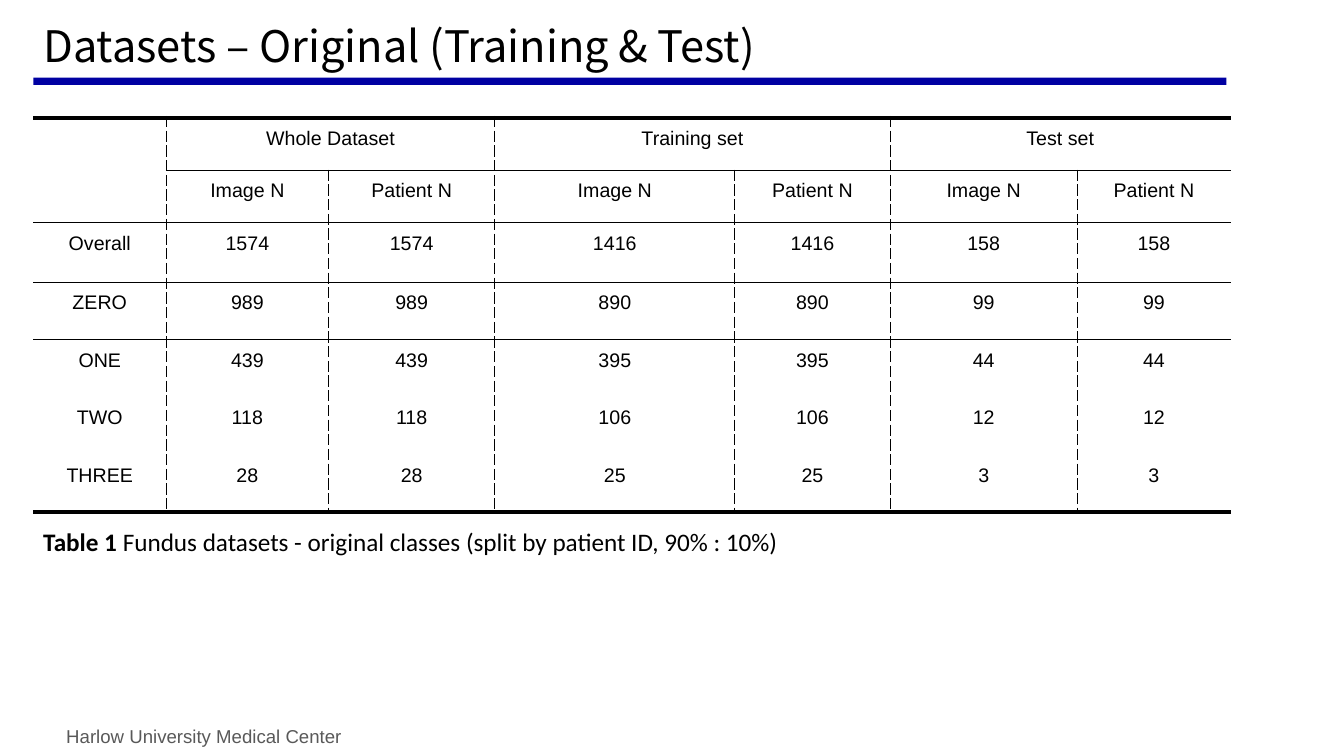
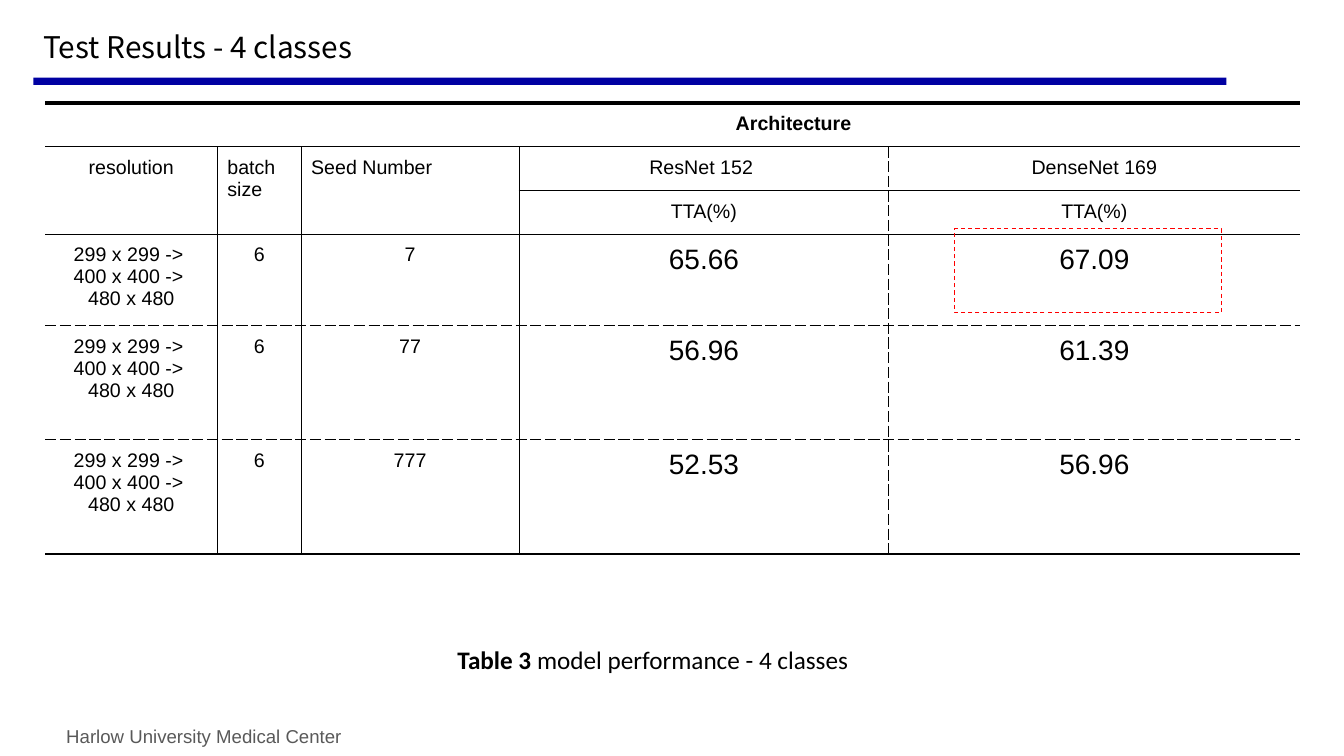
from lxml import etree
from pptx import Presentation
from pptx.dml.color import RGBColor
from pptx.enum.dml import MSO_LINE_DASH_STYLE as DASH
from pptx.enum.shapes import MSO_SHAPE as SHAPE
from pptx.enum.text import MSO_ANCHOR as ANCHOR, MSO_AUTO_SIZE as AUTO_SIZE, PP_ALIGN as ALIGN
from pptx.oxml.ns import qn
from pptx.util import Cm, Pt

BLACK, NAVY, GREY, RED = "000000", "0000A2", "595959", "FF0000"
NO_GRID_STYLE = "{2D5ABB26-0587-4C30-8999-92F81FD0307C}"
SOLID, DASHED = "solid", "dash"


def style_text(para, font, size, color=BLACK, bold=False):
    for span in para.runs:
        span.font.name = font
        span.font.size = Pt(size)
        span.font.bold = bold
        span.font.color.rgb = RGBColor.from_string(color)


def draw_cell_edges(cell, edges):
    """Write the border lines, keyed by side, in the order the schema asks for."""
    cell_props = cell._tc.get_or_add_tcPr()
    sides = [side for side in "LRTB" if side in edges]
    for position, side in enumerate(sides):
        width, dash = edges[side]
        line = etree.Element(qn("a:ln" + side), w=str(Pt(width)))
        fill = etree.SubElement(line, qn("a:solidFill"))
        etree.SubElement(fill, qn("a:srgbClr"), val=BLACK)
        etree.SubElement(line, qn("a:prstDash"), val=dash)
        cell_props.insert(position, line)


RESOLUTION = "299 x 299 -> \n400 x 400 -> \n480 x 480"

# Rules are (line number, first cell, end cell, width, dash).
# Merges are (first row, first column, last row, last column).
PAGES = [
    {
        "title": "Datasets – Original (Training & Test)",
        "title_size": 31,
        "title_anchor": ANCHOR.BOTTOM,
        "caption": ("Table 1 ", "Fundus datasets - original classes (split by patient ID, 90% : 10%)"),
        "caption_at": (0.84, 13.13, 23.6, 0.84),
        "table_at": (0.84, 2.97),
        "columns": [3.35, 4.09, 4.19, 6.05, 3.91, 4.72, 3.86],
        "rows": [1.32, 1.32, 1.5] + [1.45] * 4,
        "cells": [
            ["", "Whole Dataset", "", "Training set", "", "Test set", ""],
            [""] + ["Image N", "Patient N"] * 3,
            ["Overall", "1574", "1574", "1416", "1416", "158", "158"],
            ["ZERO", "989", "989", "890", "890", "99", "99"],
            ["ONE", "439", "439", "395", "395", "44", "44"],
            ["TWO", "118", "118", "106", "106", "12", "12"],
            ["THREE", "28", "28", "25", "25", "3", "3"],
        ],
        "merges": [(0, 0, 1, 0), (0, 1, 0, 2), (0, 3, 0, 4), (0, 5, 0, 6)],
        "row_rules": [(0, 0, 7, 3, SOLID), (1, 1, 7, 1, SOLID), (2, 0, 7, 0.75, SOLID),
                      (3, 0, 7, 0.75, SOLID), (7, 0, 7, 3, SOLID)],
        "column_rules": [(column, 0, 7, 0.75, DASHED) for column in (1, 3, 5)],
    },
    {
        "title": "Test Results - 4 classes",
        "title_size": 21.3,
        "title_anchor": ANCHOR.MIDDLE,
        "caption": ("Table 3", " model performance - 4 classes"),
        "caption_at": (11.28, 16.1, 18.06, 0.84),
        "table_at": (1.14, 2.6),
        "columns": [4.34, 2.11, 5.49, 9.32, 4.52, 5.84],
        "rows": [1.1] * 3 + [2.3, 2.88, 2.88],
        "cells": [
            ["", "", "", "Architecture", "", ""],
            ["resolution", "batch size", "Seed Number", "ResNet 152 ", "DenseNet 169", ""],
            ["", "", "", "TTA(%)", "TTA(%)", ""],
            [RESOLUTION, "6", "7", "65.66", "67.09", ""],
            [RESOLUTION, "6", "77", "56.96", "61.39", ""],
            [RESOLUTION, "6", "777", "52.53", "56.96", ""],
        ],
        "merges": [(0, 3, 0, 4)] + [(1, column, 2, column) for column in range(3)]
                  + [(row, 4, row, 5) for row in range(1, 6)],
        "row_rules": [(0, 0, 6, 3, SOLID), (1, 0, 6, 0.75, SOLID), (2, 3, 6, 0.75, SOLID),
                      (3, 0, 6, 0.75, SOLID), (4, 0, 6, 0.75, DASHED),
                      (5, 0, 6, 0.75, DASHED), (6, 0, 6, 2.25, SOLID)],
        "column_rules": [(column, 1, 6, 0.75, SOLID) for column in (1, 2, 3)]
                        + [(4, 1, 6, 0.75, DASHED)],
    },
]
LEFT_ALIGNED = {"batch size", "Seed Number"}
BOLD_CELLS = {"Architecture"}

deck = Presentation()
deck.slide_width, deck.slide_height = Cm(33.87), Cm(19.05)
layout = deck.slide_layouts[5]
layout_title = layout.placeholders[0]
layout_title.left, layout_title.top = Cm(0.84), Cm(0.53)
layout_title.width, layout_title.height = Cm(32.18), Cm(1.4)

for number, content in enumerate(PAGES):
    page = deck.slides.add_slide(layout)

    if number == 0:
        # Band and footer are made on the first page, then moved to the layout.
        band = page.shapes.add_shape(SHAPE.RECTANGLE, Cm(0.84), Cm(1.96), Cm(30.07), Cm(0.18))
        band.shadow.inherit = False
        band.fill.solid()
        band.fill.fore_color.rgb = RGBColor.from_string(NAVY)
        band.line.fill.background()
        footer = page.shapes.add_textbox(Cm(1.42), Cm(18.14), Cm(8.71), Cm(0.84))
        footer.text_frame.text = "Harlow University Medical Center"
        style_text(footer.text_frame.paragraphs[0], "Arial", 13.3, GREY)
        for shape in (band, footer):
            layout.shapes.element.append(shape.element)

    title = page.shapes.title.text_frame
    title.text = content["title"]
    title.auto_size = AUTO_SIZE.NONE
    title.vertical_anchor = content["title_anchor"]
    title.paragraphs[0].alignment = ALIGN.LEFT
    title.paragraphs[0].line_spacing = 0.9
    style_text(title.paragraphs[0], "Noto Sans CJK KR", content["title_size"])

    columns, rows = content["columns"], content["rows"]
    left, top = content["table_at"]
    frame = page.shapes.add_table(len(rows), len(columns), Cm(left), Cm(top),
                                  Cm(sum(columns)), Cm(sum(rows)))
    frame.element.xpath(".//a:tableStyleId")[0].text = NO_GRID_STYLE
    table = frame.table
    table.first_row = table.horz_banding = False
    for column, width in zip(table.columns, columns):
        column.width = Cm(width)
    for row, height in zip(table.rows, rows):
        row.height = Cm(height)
    for row, column, last_row, last_column in content["merges"]:
        table.cell(row, column).merge(table.cell(last_row, last_column))

    # Each rule belongs to the cells on both of its sides.
    edges = {}
    for line, first, end, width, dash in content["row_rules"]:
        for column in range(first, end):
            edges.setdefault((line - 1, column), {})["B"] = (width, dash)
            edges.setdefault((line, column), {})["T"] = (width, dash)
    for line, first, end, width, dash in content["column_rules"]:
        for row in range(first, end):
            edges.setdefault((row, line - 1), {})["R"] = (width, dash)
            edges.setdefault((row, line), {})["L"] = (width, dash)

    for row, texts in enumerate(content["cells"]):
        for column, text in enumerate(texts):
            cell = table.cell(row, column)
            cell.fill.background()
            draw_cell_edges(cell, edges.get((row, column), {}))
            if not text:
                continue
            cell.margin_left = cell.margin_right = Cm(0.25)
            cell.margin_top = cell.margin_bottom = Cm(0.25)
            cell.text_frame.text = text
            for para in cell.text_frame.paragraphs:
                para.alignment = ALIGN.LEFT if text in LEFT_ALIGNED else ALIGN.CENTER
                style_text(para, "Arial", 20 if "." in text else 14, bold=text in BOLD_CELLS)

    caption = page.shapes.add_textbox(*map(Cm, content["caption_at"])).text_frame
    caption.word_wrap = True
    para = caption.paragraphs[0]
    for text in content["caption"]:
        para.add_run().text = text
    style_text(para, "Calibri", 18)
    para.runs[0].font.bold = True

best_result = page.shapes.add_shape(SHAPE.RECTANGLE, Cm(24.05), Cm(5.77), Cm(6.73), Cm(2.11))
best_result.shadow.inherit = False
best_result.fill.background()
best_result.line.color.rgb = RGBColor.from_string(RED)
best_result.line.width = Pt(0.75)
best_result.line.dash_style = DASH.DASH

deck.save("out.pptx")
